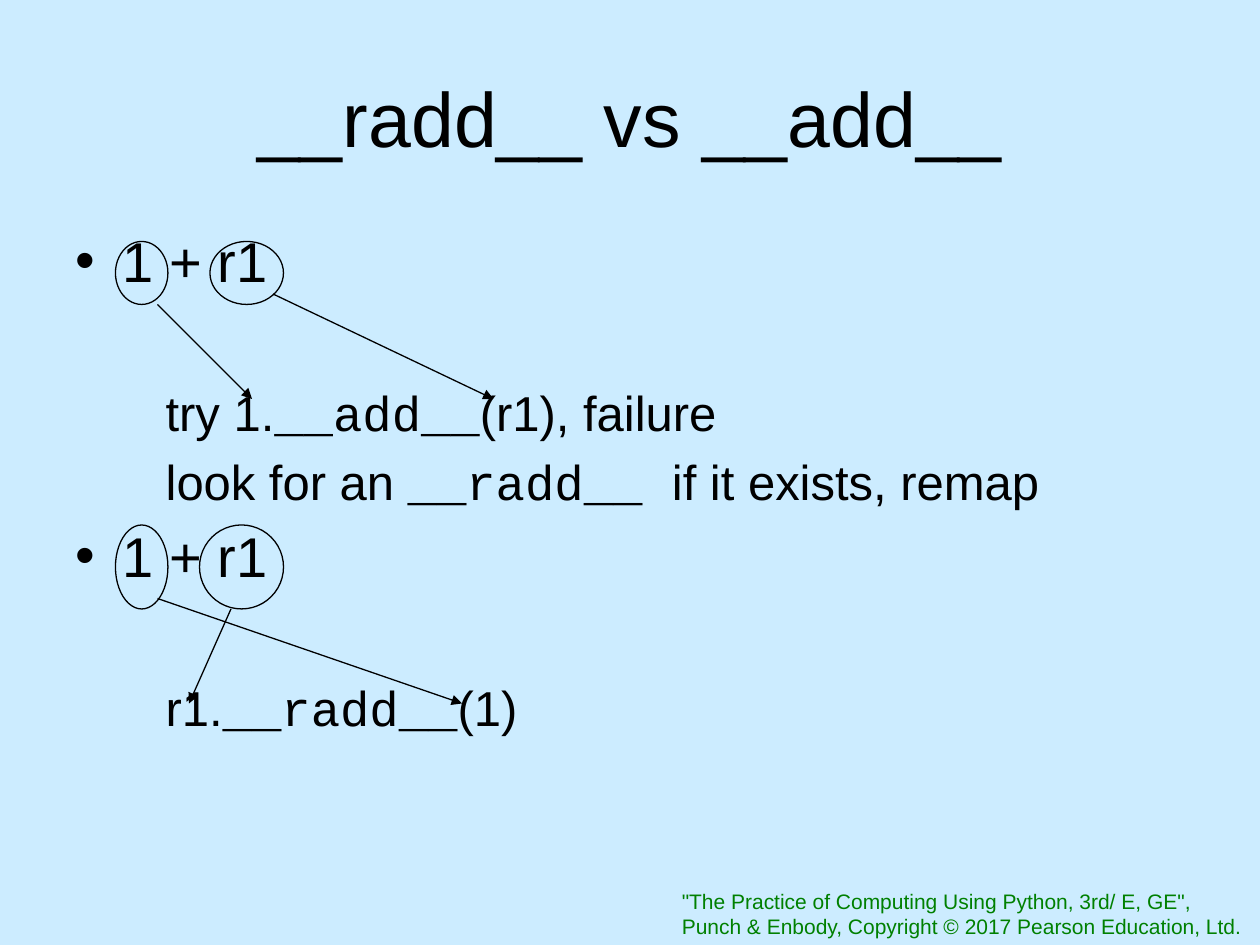
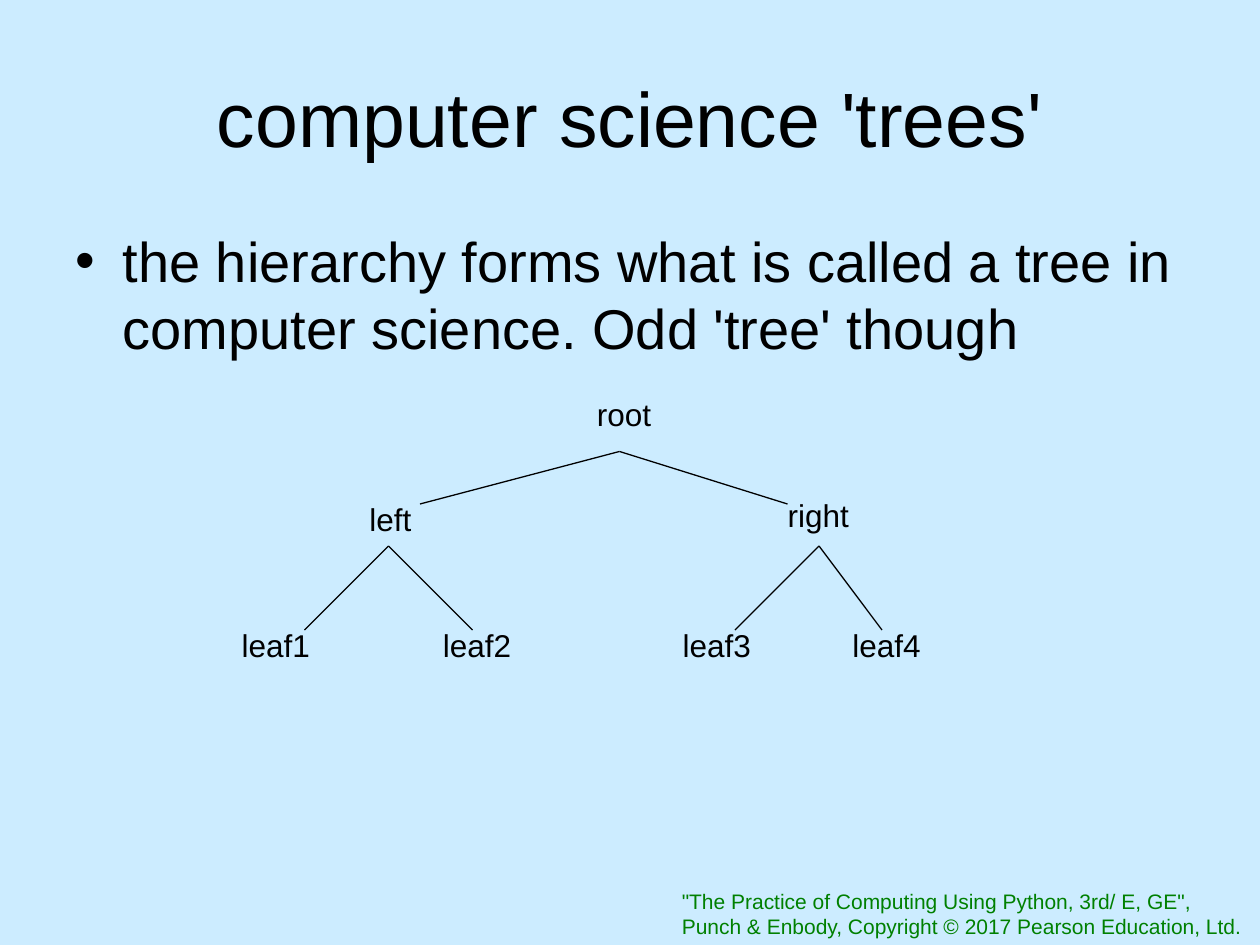
from dataclasses import dataclass

from lxml.etree import SubElement
from pptx import Presentation
from pptx.dml.color import RGBColor
from pptx.enum.shapes import MSO_CONNECTOR as Connector
from pptx.enum.shapes import MSO_SHAPE as Preset
from pptx.enum.text import MSO_ANCHOR as Anchor
from pptx.enum.text import PP_ALIGN as Align
from pptx.oxml.ns import qn
from pptx.slide import Slide
from pptx.util import Pt


@dataclass(frozen=True)
class Theme:
    background: RGBColor = RGBColor(0xCC, 0xEC, 0xFF)
    ink: RGBColor = RGBColor(0, 0, 0)
    credit: RGBColor = RGBColor(0, 0x80, 0)
    sans: str = "Arial"
    mono: str = "Courier New"
    title_size: float = 44
    bullet_size: float = 32
    detail_size: float = 28
    node_size: float = 18
    credit_size: float = 12
    line_width: float = 0.75
    line_height: float = 1.21
    paragraph_gap: float = 0.2


THEME = Theme()


@dataclass(frozen=True)
class Box:
    left: float
    top: float
    width: float
    height: float

    def lengths(self) -> tuple[Pt, ...]:
        return tuple(Pt(v) for v in (self.left, self.top, self.width, self.height))


@dataclass(frozen=True)
class Words:
    text: str
    font: str = THEME.sans


@dataclass(frozen=True)
class Line:
    words: tuple[Words, ...]
    size: float
    margin: float = 0
    bullet: bool = False
    before: float = 0
    color: RGBColor = THEME.ink
    align: Align = Align.LEFT


@dataclass(frozen=True)
class Link:
    start: tuple[float, float]
    end: tuple[float, float]
    arrow: bool = False


@dataclass(frozen=True)
class Node:
    label: str
    left: float
    top: float
    width: float


TITLE_BOX = Box(36, 21.6, 648, 90)
BODY_BOX = Box(36, 126, 648, 356.4)
CREDIT_BOX = Box(382.5, 504, 337, 36)
CREDIT_LINES = (
    '"The Practice of Computing Using Python, 3rd/ E, GE",',
    "Punch & Enbody, Copyright © 2017 Pearson Education, Ltd.",
)
BULLET_GAP = THEME.bullet_size * THEME.paragraph_gap
DETAIL_GAP = THEME.detail_size * THEME.paragraph_gap
SKIPPED_LINE = THEME.bullet_size * THEME.line_height + BULLET_GAP


def bullet(text: str, first: bool = False) -> Line:
    return Line((Words(text),), THEME.bullet_size, 27, True, 0 if first else BULLET_GAP)


def detail(*words: Words, skip_line: bool = False) -> Line:
    before = DETAIL_GAP + (SKIPPED_LINE if skip_line else 0)
    return Line(words, THEME.detail_size, 51.6, before=before)


def add_text(slide: Slide, box: Box, lines: list[Line], anchor: Anchor = Anchor.TOP) -> None:
    frame = slide.shapes.add_textbox(*box.lengths()).text_frame
    frame.word_wrap = True
    frame.vertical_anchor = anchor
    for index, line in enumerate(lines):
        paragraph = frame.add_paragraph() if index else frame.paragraphs[0]
        properties = paragraph._p.get_or_add_pPr()
        properties.set("marL", str(Pt(line.margin)))
        if line.bullet:
            properties.set("indent", str(Pt(-line.margin)))
            SubElement(properties, qn("a:buFont"), typeface=THEME.sans)
            SubElement(properties, qn("a:buChar"), char="•")
        paragraph.alignment = line.align
        if line.before:
            paragraph.space_before = Pt(line.before)
        for words in line.words:
            run = paragraph.add_run()
            run.text = words.text
            run.font.name = words.font
            run.font.size = Pt(line.size)
            run.font.color.rgb = line.color


def add_ring(slide: Slide, box: Box) -> None:
    ring = slide.shapes.add_shape(Preset.OVAL, *box.lengths())
    ring.shadow.inherit = False
    ring.fill.background()
    ring.line.color.rgb = THEME.ink
    ring.line.width = Pt(THEME.line_width)


def add_link(slide: Slide, link: Link) -> None:
    ends = (Pt(v) for v in (*link.start, *link.end))
    connector = slide.shapes.add_connector(Connector.STRAIGHT, *ends)
    connector.line.color.rgb = THEME.ink
    connector.line.width = Pt(THEME.line_width)
    if link.arrow:
        SubElement(connector.line._get_or_add_ln(), qn("a:tailEnd"), type="triangle")
    SubElement(connector._element.spPr, qn("a:effectLst"))


def add_page(deck: Presentation, title: str, body: list[Line]) -> Slide:
    slide = deck.slides.add_slide(deck.slide_layouts[6])
    add_text(slide, CREDIT_BOX, [
        Line((Words(text),), THEME.credit_size, color=THEME.credit) for text in CREDIT_LINES
    ])
    heading = Line((Words(title),), THEME.title_size, align=Align.CENTER)
    add_text(slide, TITLE_BOX, [heading], Anchor.MIDDLE)
    add_text(slide, BODY_BOX, body)
    return slide


def add_operator_page(deck: Presentation) -> None:
    slide = add_page(deck, "__radd__ vs __add__", [
        bullet("1 + r1", first=True),
        detail(Words("try 1."), Words("__add__", THEME.mono), Words("(r1), failure"),
               skip_line=True),
        detail(Words("look for an "), Words("__radd__ ", THEME.mono),
               Words("if it exists, remap")),
        bullet("1 + r1"),
        detail(Words("r1."), Words("__radd__", THEME.mono), Words("(1)"), skip_line=True),
    ])
    operands = (
        Box(66, 138, 30, 36), Box(120, 138, 42, 36),
        Box(66, 300, 30, 48), Box(114, 300, 48, 48),
    )
    for operand in operands:
        add_ring(slide, operand)
    mappings = (
        Link((90, 174), (144, 228), True), Link((156, 168), (282, 228), True),
        Link((132, 348), (108, 402), True), Link((90, 342), (264, 402), True),
    )
    for mapping in mappings:
        add_link(slide, mapping)


def add_tree_page(deck: Presentation) -> None:
    slide = add_page(deck, "computer science 'trees'", [
        bullet("the hierarchy forms what is called a tree in computer science. "
               "Odd 'tree' though", first=True),
    ])
    nodes = [
        Node("root", 334, 222, 56),
        Node("left", 204, 282, 47),
        Node("right", 443, 280, 61),
    ]
    leaf_lefts = (131, 246, 383, 480)
    nodes += [Node(f"leaf{n}", left, 354, 66) for n, left in enumerate(leaf_lefts, 1)]
    for node in nodes:
        add_text(slide, Box(node.left, node.top, node.width, 36),
                 [Line((Words(node.label),), THEME.node_size)])
    branches = {
        (354, 258): ((240, 288), (450, 288)),
        (468, 312): ((420, 360), (504, 360)),
        (222, 312): ((174, 360), (270, 360)),
    }
    for parent, children in branches.items():
        for child in children:
            add_link(slide, Link(parent, child))


def main() -> None:
    deck = Presentation()
    deck.slide_width, deck.slide_height = Pt(720), Pt(540)
    backdrop = deck.slide_master.background.fill
    backdrop.solid()
    backdrop.fore_color.rgb = THEME.background
    add_operator_page(deck)
    add_tree_page(deck)
    deck.save("out.pptx")


if __name__ == "__main__":
    main()
